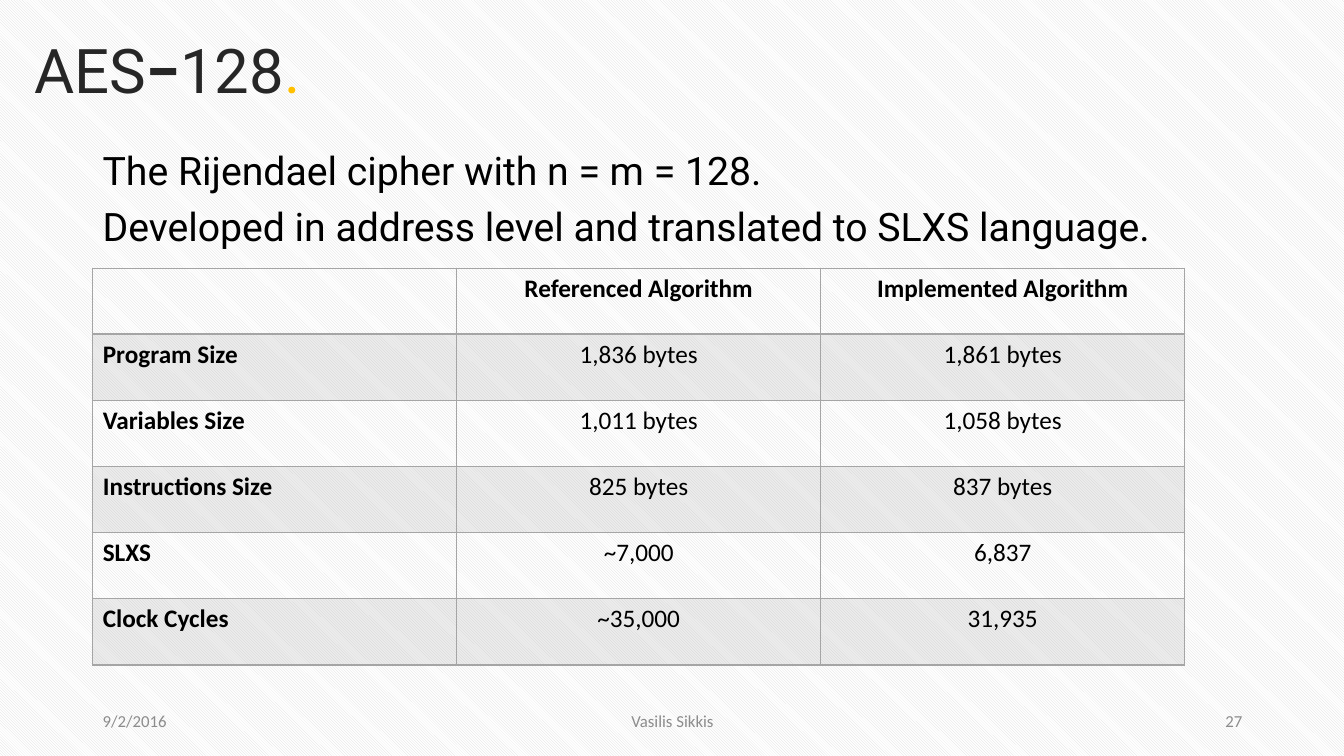
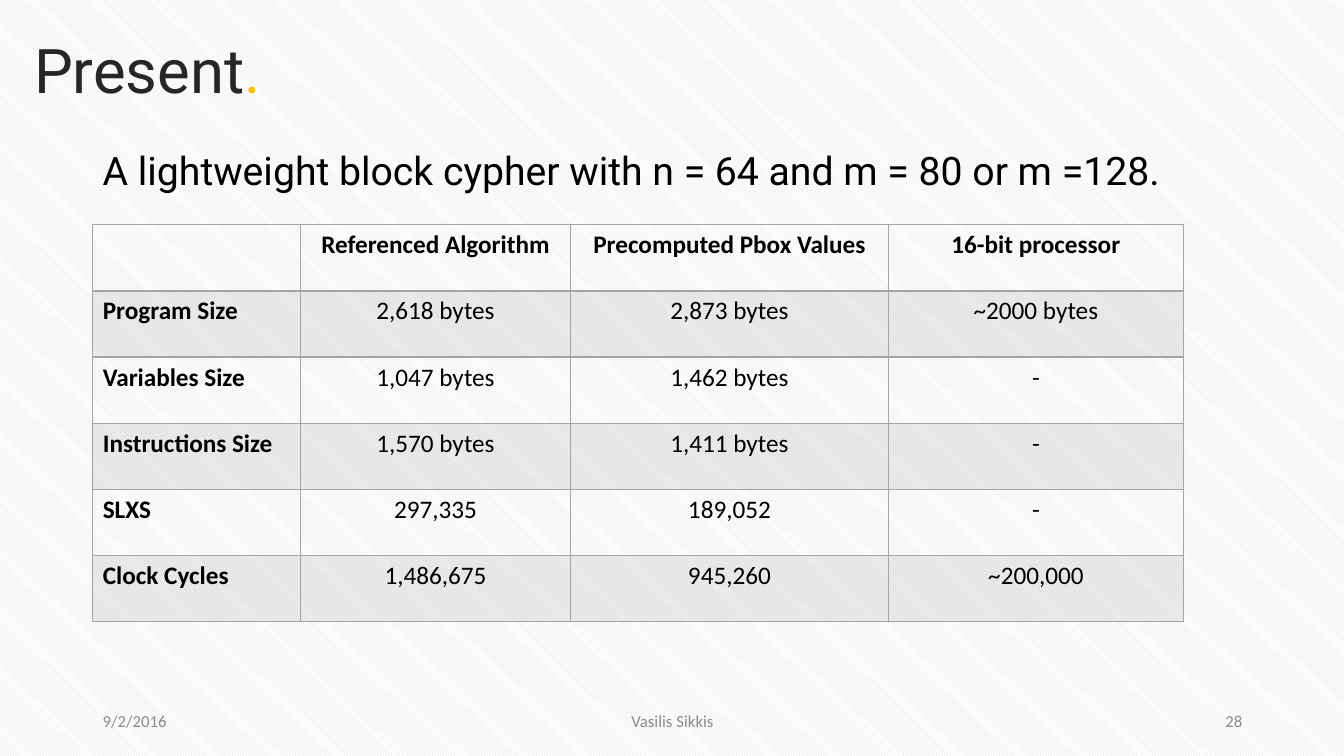
from lxml.etree import SubElement
from pptx import Presentation
from pptx.dml.color import RGBColor
from pptx.enum.dml import MSO_PATTERN
from pptx.enum.text import MSO_ANCHOR as ANCHOR, PP_ALIGN as ALIGN
from pptx.oxml.ns import qn
from pptx.util import Inches, Pt

# Shared look
COLORS = {
    "stripe": "D9D9D9",
    "paper": "FFFFFF",
    "title": "262626",
    "accent": "FFC000",
    "body": "000000",
    "footer": "8C8C8C",
    "grid": "A5A5A5",
}
TITLE = {"name": "Roboto", "size": Pt(44), "color": "title"}
BODY = {"name": "Roboto", "size": Pt(28), "color": "body"}
FOOTER = {"name": "Calibri", "size": Pt(12), "color": "footer"}
CELL = {"name": "Calibri", "size": Pt(18), "color": "body"}
TITLE_PARAGRAPH = {"line_spacing": 0.9}
BODY_PARAGRAPH = {"line_spacing": 0.9, "space_before": Pt(10)}

LEFT = 0.92
TABLE_HEIGHT = 3.94
THIN, HEAVY = 1, 1.5
BAND_OPACITY = 20
METRICS = ["Program Size", "Variables Size", "Instructions Size", "SLXS", "Clock Cycles"]

# Slide content: title runs are (text, format changes)
SLIDES = [
    {
        "title": [("AES", {}), ("−", {"bold": True}), ("128", {})],
        "body": [
            "The Rijendael cipher with n = m = 128.",
            "Developed in address level and translated to SLXS language.",
        ],
        "number": "27",
        "table_top": 2.66,
        "widths": [3.61, 3.61, 3.61],
        "results": {
            "Referenced Algorithm":
                ["1,836 bytes", "1,011 bytes", "825 bytes", "~7,000", "~35,000"],
            "Implemented Algorithm":
                ["1,861 bytes", "1,058 bytes", "837 bytes", "6,837", "31,935"],
        },
    },
    {
        "title": [("Present", {})],
        "body": ["A lightweight block cypher with n = 64 and m = 80 or m =128."],
        "number": "28",
        "table_top": 2.23,
        "widths": [2.06, 2.68, 3.15, 2.93],
        "results": {
            "Referenced Algorithm":
                ["2,618 bytes", "1,047 bytes", "1,570 bytes", "297,335", "1,486,675"],
            "Precomputed Pbox Values":
                ["2,873 bytes", "1,462 bytes", "1,411 bytes", "189,052", "945,260"],
            "16-bit processor":
                ["~2000 bytes", "-", "-", "-", "~200,000"],
        },
    },
]


def rgb(key):
    return RGBColor.from_string(COLORS[key])


def set_background(master):
    fill = master.background.fill
    fill.patterned()
    fill.pattern = MSO_PATTERN.LIGHT_DOWNWARD_DIAGONAL
    fill.fore_color.rgb = rgb("stripe")
    fill.back_color.rgb = rgb("paper")


# Text
def add_run(paragraph, text, style):
    run = paragraph.add_run()
    run.text = text
    for attribute, value in style.items():
        if attribute == "color":
            run.font.color.rgb = rgb(value)
        else:
            setattr(run.font, attribute, value)


def add_text(slide, box, paragraphs, style, layout, anchor=ANCHOR.MIDDLE):
    """Each paragraph is a list of (text, format changes) runs."""
    frame = slide.shapes.add_textbox(*map(Inches, box)).text_frame
    frame.word_wrap = True
    frame.vertical_anchor = anchor
    for index, runs in enumerate(paragraphs):
        paragraph = frame.add_paragraph() if index else frame.paragraphs[0]
        for attribute, value in layout.items():
            setattr(paragraph, attribute, value)
        for text, changes in runs:
            add_run(paragraph, text, {**style, **changes})


def add_footer(slide, number):
    parts = [
        ("9/2/2016", LEFT, 3, ALIGN.LEFT),
        ("Vasilis Sikkis", 4.42, 4.5, ALIGN.CENTER),
        (number, 9.42, 3, ALIGN.RIGHT),
    ]
    for text, left, width, align in parts:
        add_text(slide, (left, 6.95, width, 0.4), [[(text, {})]], FOOTER,
                 {"alignment": align})


# Table
def set_borders(cell, widths):
    properties = cell._tc.get_or_add_tcPr()
    for side, width in widths.items():
        line = SubElement(properties, qn(f"a:ln{side}"), w=str(Pt(width)))
        fill = SubElement(line, qn("a:solidFill"))
        SubElement(fill, qn("a:srgbClr"), val=COLORS["grid"])


def set_band(cell, shaded):
    if not shaded:
        cell.fill.background()
        return
    cell.fill.solid()
    cell.fill.fore_color.rgb = rgb("grid")
    color = cell._tc.tcPr.find(qn("a:solidFill")).find(qn("a:srgbClr"))
    SubElement(color, qn("a:alpha"), val=str(BAND_OPACITY * 1000))


def add_results(slide, top, widths, results):
    header = ["", *results]
    rows = [header, *zip(METRICS, *results.values())]
    # Rows share the table height equally
    table = slide.shapes.add_table(
        len(rows), len(header), Inches(LEFT), Inches(top),
        Inches(sum(widths)), Inches(TABLE_HEIGHT)).table
    table.first_row = table.horz_banding = False
    for column, width in zip(table.columns, widths):
        column.width = Inches(width)

    for r, texts in enumerate(rows):
        for c, text in enumerate(texts):
            cell = table.cell(r, c)
            # The rule under the header is heavier
            set_borders(cell, {"L": THIN, "R": THIN,
                               "T": HEAVY if r == 1 else THIN,
                               "B": HEAVY if r == 0 else THIN})
            set_band(cell, shaded=r % 2 == 1)
            if text:
                paragraph = cell.text_frame.paragraphs[0]
                paragraph.alignment = ALIGN.CENTER if c else ALIGN.LEFT
                add_run(paragraph, text, {**CELL, "bold": r == 0 or c == 0})


def add_slide(prs, content):
    slide = prs.slides.add_slide(prs.slide_layouts[6])
    title = [*content["title"], (".", {"color": "accent"})]
    add_text(slide, (0.24, 0, 11.5, 1.45), [title], TITLE, TITLE_PARAGRAPH)
    body = [[(line, {})] for line in content["body"]]
    add_text(slide, (LEFT, 1.45, 11.5, 5.31), body, BODY, BODY_PARAGRAPH, ANCHOR.TOP)
    add_footer(slide, content["number"])
    add_results(slide, content["table_top"], content["widths"], content["results"])


def main():
    prs = Presentation()
    prs.slide_width, prs.slide_height = Inches(13.33), Inches(7.5)
    set_background(prs.slide_master)
    for content in SLIDES:
        add_slide(prs, content)
    prs.save("out.pptx")


if __name__ == "__main__":
    main()
